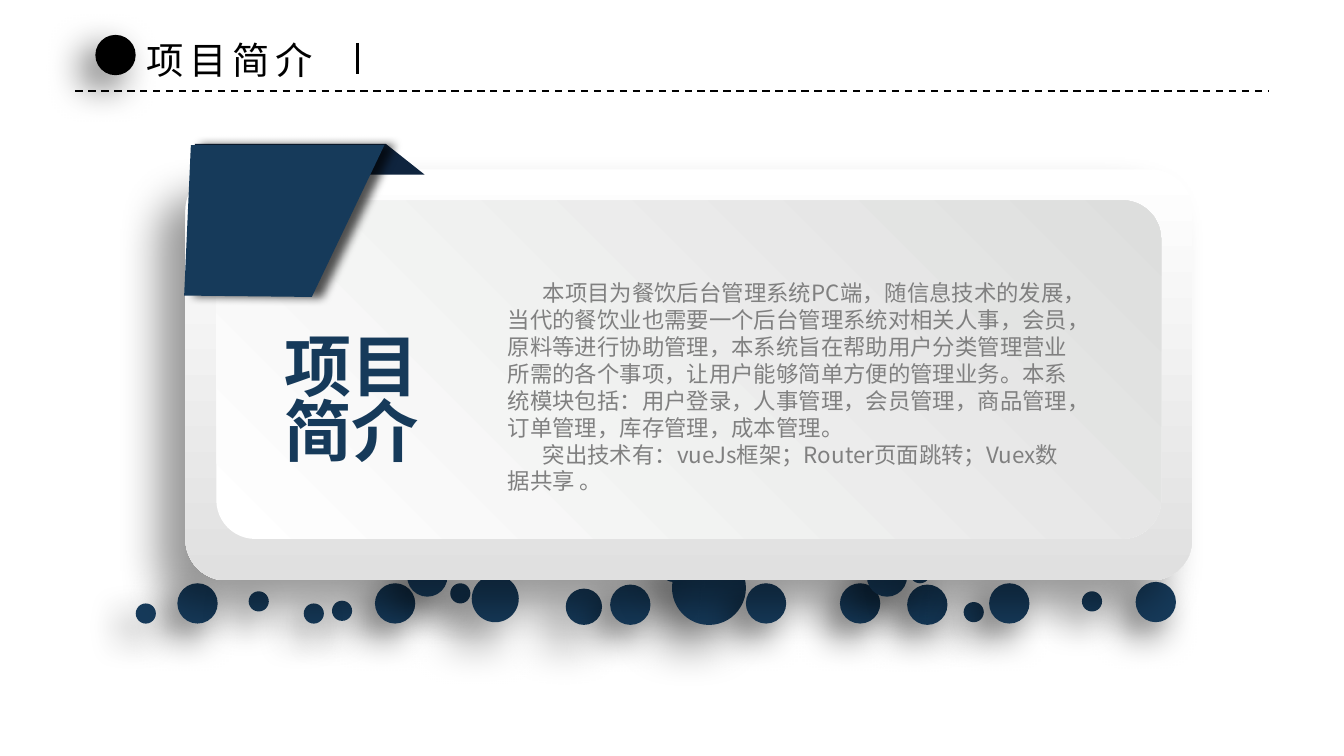
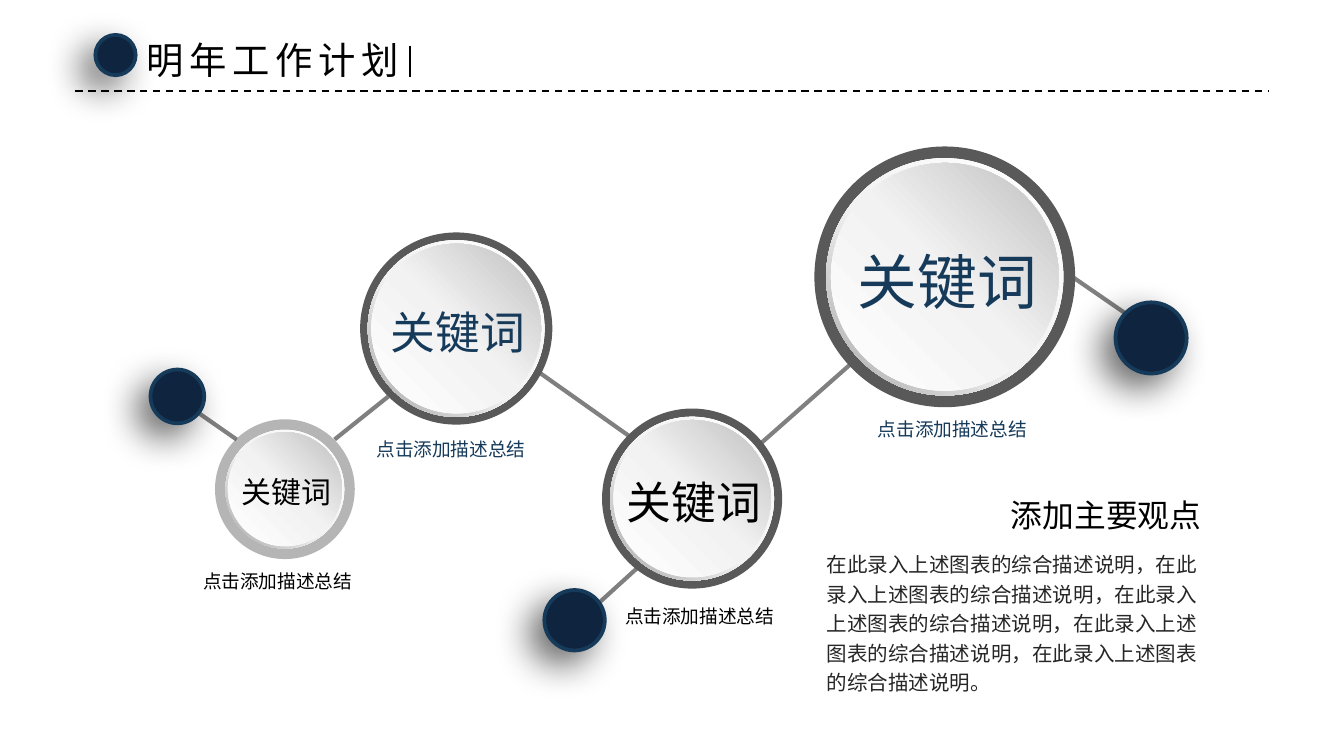
from dataclasses import dataclass

from lxml import etree
from pptx import Presentation
from pptx import util as u
from pptx.dml.color import RGBColor
from pptx.enum import dml, shapes, text
from pptx.oxml import ns

WIDTH = u.Inches(10)
HEIGHT = WIDTH * 9 // 16
COLUMN = WIDTH / 100
ROW = HEIGHT / 56.25

BLACK = RGBColor(0x00, 0x00, 0x00)
INK = RGBColor(0x0D, 0x0D, 0x0D)
BODY = RGBColor(0x26, 0x26, 0x26)
RIM = RGBColor(0x59, 0x59, 0x59)
GREY = RGBColor(0x80, 0x80, 0x80)
RING_END = RGBColor(0xA6, 0xA6, 0xA6)
FACE_END = RGBColor(0xBF, 0xBF, 0xBF)
PANEL_END = RGBColor(0xDD, 0xDE, 0xDD)
FRAME_END = RGBColor(0xE0, 0xE0, 0xE0)
PALE = RGBColor(0xF2, 0xF2, 0xF2)
WHITE = RGBColor(0xFF, 0xFF, 0xFF)
NAVY = RGBColor(0x16, 0x3A, 0x5A)
DEEP = RGBColor(0x0F, 0x24, 0x3E)

FONT = "Noto Sans CJK SC"
OVAL = shapes.MSO_SHAPE.OVAL
ROUNDED = shapes.MSO_SHAPE.ROUNDED_RECTANGLE
DONUT = shapes.MSO_SHAPE.DONUT
LEFT, CENTER, RIGHT = text.PP_ALIGN.LEFT, text.PP_ALIGN.CENTER, text.PP_ALIGN.RIGHT

SOFT_SHADOW = (60, 20, 10, 135)
WIDE_SHADOW = (50, 25, 15, 135)
PANEL_SHADOW = (40, 22, 20, 135)
RIBBON_SHADOW = (67, 5, 5, 0)


@dataclass
class Box:
    left: float
    top: float
    width: float
    height: float

    def inner(self, left, top, width, height):
        return Box(self.left + left, self.top + top, width, height)

    def point(self, x, y):
        return self.left + x, self.top + y

    def centred(self, width, height):
        return self.inner((self.width - width) / 2, (self.height - height) / 2, width, height)

    def emu(self):
        return (round(self.left * COLUMN), round(self.top * ROW),
                round(self.width * COLUMN), round(self.height * ROW))


PAGE = Box(0, 0, 100, 56.25)


def child(parent, tag, **attributes):
    return etree.SubElement(parent, ns.qn(tag), {k: str(v) for k, v in attributes.items()})


def paint(shape, fill, shadow=None, opacity=None):
    if isinstance(fill, tuple) and not isinstance(fill, RGBColor):
        angle, stops = fill
        shape.fill.gradient()
        shape.fill.gradient_angle = 360 - angle
        stop_list = shape.element.spPr.find(".//" + ns.qn("a:gsLst"))
        for stop in list(stop_list):
            stop_list.remove(stop)
        for position, color in stops:
            child(child(stop_list, "a:gs", pos=position * 1000), "a:srgbClr", val=color)
    else:
        shape.fill.solid()
        shape.fill.fore_color.rgb = fill
    if opacity:
        color = shape.element.spPr.find(ns.qn("a:solidFill"))[0]
        child(color, "a:alpha", val=opacity * 1000)
    shape.line.fill.background()
    shape.shadow.inherit = False
    if shadow:
        alpha, blur, distance, direction = shadow
        effects = shape.element.spPr.find(ns.qn("a:effectLst"))
        outer = child(effects, "a:outerShdw", blurRad=int(u.Pt(blur)), dist=int(u.Pt(distance)),
                      dir=direction * 60000, algn="tl", rotWithShape=0)
        child(child(outer, "a:srgbClr", val=BLACK), "a:alpha", val=alpha * 1000)


def add_form(holder, kind, box, fill, shadow=None, adjust=None, opacity=None):
    shape = holder.shapes.add_shape(kind, *box.emu())
    if adjust is not None:
        shape.adjustments[0] = adjust
    paint(shape, fill, shadow, opacity)
    return shape


def add_ribbon(page, points, fill, shadow=None):
    start, *others = [(round(x * COLUMN), round(y * ROW)) for x, y in points]
    builder = page.shapes.build_freeform(*start)
    builder.add_line_segments(others, close=True)
    paint(builder.convert_to_shape(), fill, shadow)


def add_line(page, start, end, color, weight, dash=None):
    (x1, y1), (x2, y2) = start, end
    line = page.shapes.add_connector(
        shapes.MSO_CONNECTOR.STRAIGHT,
        *(round(v) for v in (x1 * COLUMN, y1 * ROW, x2 * COLUMN, y2 * ROW)))
    line.line.color.rgb = color
    line.line.width = u.Pt(weight)
    if dash:
        line.line.dash_style = dash
    child(line._element.spPr, "a:effectLst")


def add_text(holder, box, paragraphs, size, color, align=LEFT, bold=False, wrap=True,
             inset=(1, 0.5), leading=None, indent=0, tracking=0):
    label = holder.shapes.add_textbox(*box.emu())
    frame = label.text_frame
    frame.word_wrap = wrap
    frame.auto_size = text.MSO_AUTO_SIZE.SHAPE_TO_FIT_TEXT
    frame.margin_left = frame.margin_right = round(inset[0] * COLUMN)
    frame.margin_top = frame.margin_bottom = round(inset[1] * ROW)
    for number, words in enumerate(paragraphs):
        para = frame.add_paragraph() if number else frame.paragraphs[0]
        para.alignment = align
        if leading:
            para.line_spacing = leading
        if indent:
            para._p.get_or_add_pPr().set("indent", str(round(indent * COLUMN)))
        span = para.add_run()
        span.text = words
        span.font.size = u.Pt(size)
        span.font.bold = bold
        span.font.color.rgb = color
        span.font.name = FONT
        properties = span._r.get_or_add_rPr()
        child(properties, "a:ea", typeface=FONT)
        if tracking:
            properties.set("spc", str(tracking * 100))


def add_bead(page, box):
    bead = add_form(page, OVAL, box, DEEP, SOFT_SHADOW)
    bead.line.color.rgb = NAVY
    bead.line.width = u.Pt(2)


def add_header(page, box, title, title_width, tick, beaded):
    add_line(page, box.point(0, 4.5), box.point(box.width, 4.5), BLACK, 1,
             dml.MSO_LINE.DASH)
    marker = box.inner(1.5, 0.3, 3, 3)
    if beaded:
        add_bead(page, marker)
    else:
        add_form(page, OVAL, marker, BLACK, SOFT_SHADOW)
    add_text(page, box.inner(4.3, 0, title_width, 4.4), [title], 20, BLACK,
             wrap=False, tracking=3)
    x, y = tick
    add_line(page, box.point(x, y), box.point(x, y + 2.3), BLACK, 1.5)


def add_bubbles(page, box):
    bubbles = [
        (39.9, 0, 5.5), (52.4, 2.4, 3), (17.8, 2.4, 3), (14.6, 3.7, 1.5), (57.4, 2.5, 3),
        (23.4, 2.4, 1.5), (61.6, 3.8, 1.5), (32, 2.8, 2.7), (63.5, 2.4, 3), (35.3, 2.5, 3),
        (70.4, 3, 1.5), (54.4, 0.4, 3), (12.5, 3.9, 1.5), (39.2, 0.8, 1.5), (25, 1.8, 3.5),
        (45.4, 2.4, 3), (3.1, 2.4, 3), (0, 3.9, 1.5), (20.2, 0.4, 3), (8.4, 3, 1.5),
        (57.6, 0.9, 1.5), (74.4, 2.3, 3)]
    for x, y, size in bubbles:
        shadow = SOFT_SHADOW if size in (1.5, 3) else WIDE_SHADOW
        add_form(page, OVAL, box.inner(x, y, size, size), NAVY, shadow)


def add_panel(page, box):
    group = page.shapes.add_group_shape()
    add_form(group, ROUNDED, box, (90, [(0, WHITE), (100, FRAME_END)]), PANEL_SHADOW, 0.1)
    add_form(group, ROUNDED, box.inner(2.3, 2.3, 70.3, 25.2),
             (315, [(0, WHITE), (100, PANEL_END)]), adjust=0.115)


def add_ribbons(page, box):
    back = [(0.8, 0), (15, 0), (17.9, 2.3), (0.8, 2.3)]
    front = [(0.5, 0.1), (14.9, 0.1), (9.5, 11.4), (0, 11.3)]
    add_ribbon(page, [box.point(*p) for p in back], DEEP)
    add_ribbon(page, [box.point(*p) for p in front], NAVY, RIBBON_SHADOW)


def build_intro(page):
    panel = PAGE.inner(13.8, 12.6, 74.9, 30.6)
    add_bubbles(page, PAGE.inner(10.1, 41, 77.4, 5.5))
    add_panel(page, panel)
    add_text(page, panel.inner(3.2, 12.3, 18.3, 10.5), ["项目", "简介"], 36, NAVY, CENTER,
             bold=True, inset=(0.7, 0.4), leading=0.8)
    add_header(page, PAGE.inner(5.6, 2.3, 88.8, 4.5), "项目简介", 14.9, (21, 0.9), False)
    add_text(page, panel.inner(23, 7.7, 44.2, 17.2), [
        "本项目为餐饮后台管理系统PC端，随信息技术的发展，当代的餐饮业也需要一个后台管理系统"
        "对相关人事，会员，原料等进行协助管理，本系统旨在帮助用户分类管理营业所需的各个事项，"
        "让用户能够简单方便的管理业务。本系统模块包括：用户登录，人事管理，会员管理，商品管理，"
        "订单管理，库存管理，成本管理。",
        "突出技术有：vueJs框架；Router页面跳转；Vuex数据共享 。"], 12, GREY, indent=2.6)
    add_ribbons(page, PAGE.inner(13.7, 10.7, 17.9, 11.4))


def add_node(page, box, size, color, rim, opacity, ring_share):
    ring = box.width * ring_share
    face = ring * 0.96
    group = page.shapes.add_group_shape()
    add_form(group, OVAL, box, rim, opacity=opacity)
    add_form(group, DONUT, box.centred(ring, ring),
             (135, [(0, WHITE), (55, PALE), (100, RING_END)]), adjust=0.05)
    add_form(group, OVAL, box.centred(face, face),
             (315, [(0, WHITE), (51, PALE), (100, FACE_END)]))
    shift = box.width * 0.01
    label = box.inner(shift, shift * 1.5, box.width, box.height)
    add_text(group, label.centred(size * 0.42 + 2, size / 6 + 1), ["关键词"], size, color,
             CENTER, wrap=False)


def add_chain(page, box):
    links = [(13.7, 21.8, 17.7, 18.6), (28.9, 16.8, 36.4, 22.1), (45.4, 22.1, 52.2, 16.1),
             (3.1, 19.5, 6.4, 21.8), (33.1, 34.2, 36.4, 31.2), (68.3, 9.5, 72.8, 12.6)]
    nodes = [
        (15.6, 6.4, 14.3, 24, NAVY, RIM, None, 0.92, 14.9, 21),
        (4.8, 20.3, 10.4, 16, BLACK, INK, 30, 0.85, 2, 30.8),
        (33.6, 19.5, 13.4, 24, BLACK, RIM, None, 0.91, 33.4, 33.4),
        (49.4, 0, 19.4, 32, NAVY, RIM, None, 0.91, 52.2, 19.5)]
    beads = [(0, 16.6, 4), (29.3, 33, 4.5), (71.8, 11.6, 5.3)]
    for x1, y1, x2, y2 in links:
        add_line(page, box.point(x1, y1), box.point(x2, y2), GREY, 2.25)
    for x, y, width, size, color, rim, opacity, share, caption_x, caption_y in nodes:
        add_text(page, box.inner(caption_x, caption_y, 14.9, 2.7), ["点击添加描述总结"], 10,
                 color, CENTER, inset=(0.9, 0.4), leading=u.Pt(14.1))
        add_node(page, box.inner(x, y, width, width), size, color, rim, opacity, share)
    for x, y, width in beads:
        add_bead(page, box.inner(x, y, width, width))


def add_viewpoint(page, box):
    add_text(page, box.inner(4.1, 0, 25.4, 3.8), ["添加主要观点"], 17, BLACK, RIGHT,
             inset=(0.9, 0.5))
    add_text(page, box.inner(0, 3.9, 30, 11.9),
             ["，".join(["在此录入上述图表的综合描述说明"] * 5) + "。"],
             11, BODY, inset=(0.7, 0.4), leading=1.2)


def build_plan(page):
    add_chain(page, PAGE.inner(11.2, 10.9, 77.1, 37.5))
    add_viewpoint(page, PAGE.inner(60.8, 36.4, 30, 15.8))
    add_header(page, PAGE.inner(5.6, 2.3, 88.8, 4.5), "明年工作计划", 21.4, (24.9, 1.1), True)


def main():
    deck = Presentation()
    deck.slide_width, deck.slide_height = WIDTH, HEIGHT
    for build in (build_intro, build_plan):
        build(deck.slides.add_slide(deck.slide_layouts[6]))
    deck.save("out.pptx")


if __name__ == "__main__":
    main()
